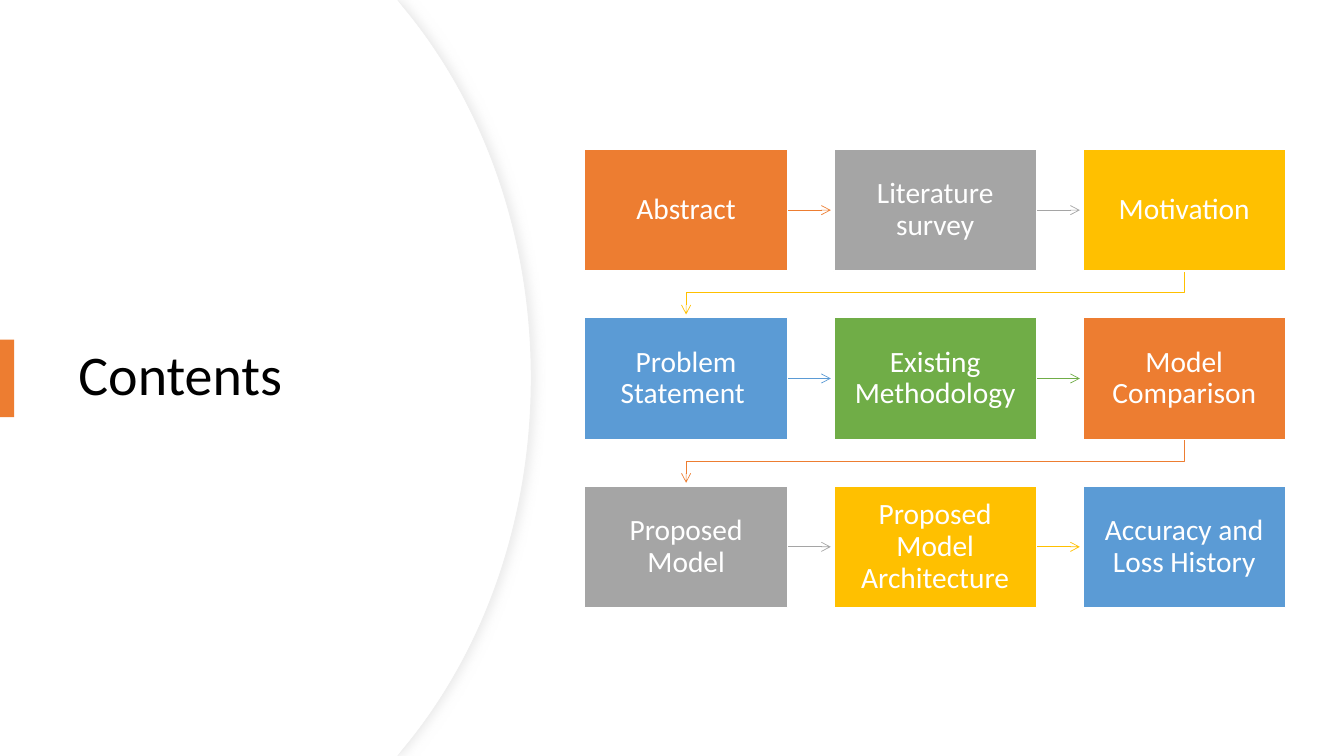
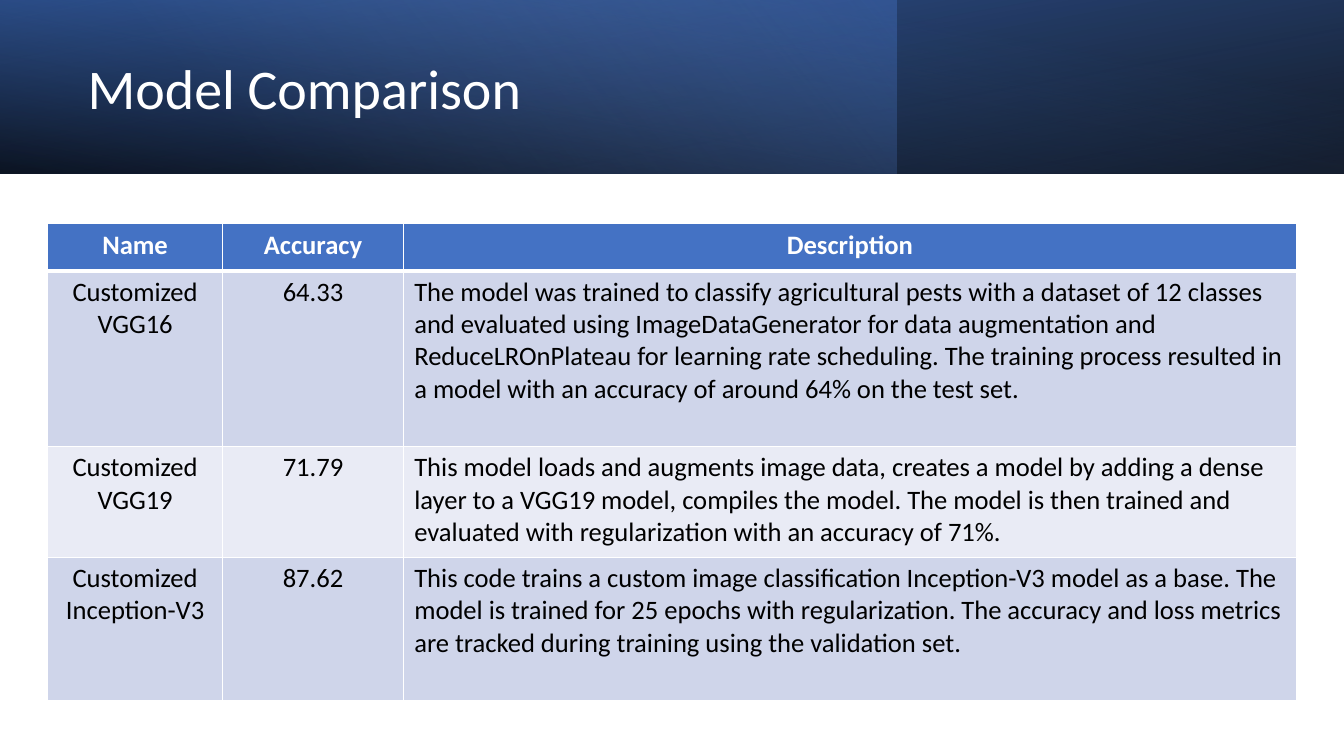
"""Build a contents flow slide and a model comparison table slide."""
from dataclasses import dataclass

from lxml import etree
from pptx import Presentation
from pptx import util as u
from pptx.dml.color import RGBColor
from pptx.enum import shapes, text
from pptx.oxml.ns import qn


@dataclass(frozen=True)
class Theme:
    font: str = "Calibri"
    title_size: float = 40
    box_size: float = 21
    table_size: float = 19
    white: str = "FFFFFF"
    black: str = "000000"
    orange: str = "ED7D31"
    grey: str = "A5A5A5"
    gold: str = "FFC000"
    sky: str = "5B9BD5"
    green: str = "70AD47"
    blue: str = "4472C4"
    pale_blue: str = "8FAADC"
    deep_blue: str = "2F5597"
    row_dark: str = "CFD5EA"
    row_light: str = "E9EBF5"
    outline: str = "EFEFEF"
    shadow: str = "D9D9D9"


THEME = Theme()
CENTER = text.PP_ALIGN.CENTER
LEFT = text.PP_ALIGN.LEFT


def inches(*lengths):
    return [u.Inches(length) for length in lengths]


def rgb(color):
    return RGBColor.from_string(color)


def add_child(parent, tag, **attributes):
    child = etree.SubElement(parent, qn(tag))
    for name, value in attributes.items():
        child.set(name, str(value))
    return child


class Deck:
    def __init__(self, theme):
        self.theme = theme
        self.presentation = Presentation()
        self.presentation.slide_width, self.presentation.slide_height = inches(13.33, 7.5)
        self.slide = None

    def new_slide(self):
        layout = self.presentation.slide_layouts[6]
        self.slide = self.presentation.slides.add_slide(layout)

    def format_text(self, frame, size, color, align=LEFT, bold=False, spacing=1.0):
        for paragraph in frame.paragraphs:
            paragraph.alignment = align
            paragraph.line_spacing = spacing
            for run in paragraph.runs:
                run.font.name = self.theme.font
                run.font.size = u.Pt(size)
                run.font.bold = bold
                run.font.color.rgb = rgb(color)

    def paint(self, shape, fill, line=None, width=1.0):
        shape.shadow.inherit = False
        shape.fill.solid()
        shape.fill.fore_color.rgb = rgb(fill)
        if line:
            shape.line.color.rgb = rgb(line)
            shape.line.width = u.Pt(width)
        else:
            shape.line.fill.background()

    def title(self, words, box, color):
        shape = self.slide.shapes.add_textbox(*inches(*box))
        frame = shape.text_frame
        frame.word_wrap = True
        frame.vertical_anchor = text.MSO_ANCHOR.MIDDLE
        frame.text = words
        self.format_text(frame, self.theme.title_size, color, spacing=0.9)

    def rectangle(self, box, fill, line=None):
        shape = self.slide.shapes.add_shape(shapes.MSO_SHAPE.RECTANGLE, *inches(*box))
        self.paint(shape, fill, line)
        return shape

    def step(self, words, box, fill):
        shape = self.rectangle(box, fill, self.theme.white)
        frame = shape.text_frame
        frame.word_wrap = True
        frame.vertical_anchor = text.MSO_ANCHOR.MIDDLE
        frame.margin_left = frame.margin_right = u.Inches(0.1)
        frame.margin_top = frame.margin_bottom = u.Inches(0.1)
        frame.text = words
        self.format_text(frame, self.theme.box_size, self.theme.white, CENTER, spacing=0.9)

    def arrow(self, kind, start, end, color, rotation=0):
        connector = self.slide.shapes.add_connector(kind, *inches(*start, *end))
        connector.line.color.rgb = rgb(color)
        connector.line.width = u.Pt(0.5)
        properties = connector._element.spPr
        properties.xfrm.rot = rotation
        add_child(properties.find(qn("a:ln")), "a:tailEnd", type="arrow")
        add_child(properties, "a:effectLst")

    def straight_arrow(self, start, end, color):
        self.arrow(shapes.MSO_CONNECTOR.STRAIGHT, start, end, color)

    def return_arrow(self, start, end, color):
        middle_x, middle_y = (start[0] + end[0]) / 2, (start[1] + end[1]) / 2
        half_run, half_drop = (start[0] - end[0]) / 2, (end[1] - start[1]) / 2
        self.arrow(
            shapes.MSO_CONNECTOR.ELBOW,
            (middle_x - half_drop, middle_y - half_run),
            (middle_x + half_drop, middle_y + half_run),
            color,
            rotation=90,
        )

    def curved_panel(self, edge, line=None, shadow=None):
        shoulder = edge - 1.26
        corners = ((3.94, 0), (shoulder, 0.08), (edge, 3.75), (shoulder, 7.42), (3.94, 7.5), (0, 7.5))
        bends = {
            2: ((edge - 0.48, 1.02), (edge, 2.32)),
            3: ((edge, 5.18), (edge - 0.48, 6.48)),
        }
        builder = self.slide.shapes.build_freeform(0, 0)
        builder.add_line_segments([inches(*corner) for corner in corners], close=True)
        shape = builder.convert_to_shape()
        segments = list(shape._element.spPr.iter(qn("a:lnTo")))
        for index, handles in bends.items():
            segment = segments[index]
            curve = etree.Element(qn("a:cubicBezTo"))
            for x, y in handles:
                add_child(curve, "a:pt", x=u.Inches(x), y=u.Inches(y))
            curve.append(segment[0])
            segment.getparent().replace(segment, curve)
        self.paint(shape, self.theme.white, line, 0.75)
        if shadow:
            effects = shape._element.spPr.find(qn("a:effectLst"))
            outer = add_child(effects, "a:outerShdw", blurRad=u.Pt(7), dist=u.Pt(3), dir=0)
            color = add_child(outer, "a:srgbClr", val=shadow)
            add_child(color, "a:alpha", val=50000)

    def gradient_band(self, width, angle, stops, rotation=0, flip=False):
        shape = self.rectangle((0, 0, width, 1.72), self.theme.blue)
        shape.rotation = rotation
        properties = shape._element.spPr
        if flip:
            properties.xfrm.flipH = True
        shape.fill.gradient()
        shape.fill.gradient_angle = 360 - angle
        for stop, (position, color, _) in zip(shape.fill.gradient_stops, stops):
            stop.position = position / 100
            stop.color.rgb = rgb(color)
        colors = properties.find(qn("a:gradFill")).iter(qn("a:srgbClr"))
        for color, (_, _, opacity) in zip(colors, stops):
            add_child(color, "a:alpha", val=opacity * 1000)

    def cell(self, cell, words, fill, color, align, bold, borders):
        cell.margin_left = cell.margin_right = u.Inches(0.11)
        cell.margin_top = cell.margin_bottom = u.Inches(0.05)
        cell.text_frame.text = words
        self.format_text(cell.text_frame, self.theme.table_size, color, align, bold)
        properties = cell._tc.get_or_add_tcPr()
        for side, width in borders.items():
            line = add_child(properties, f"a:ln{side}", w=u.Pt(width))
            add_child(add_child(line, "a:solidFill"), "a:srgbClr", val=self.theme.white)
        cell.fill.solid()
        cell.fill.fore_color.rgb = rgb(fill)

    def table(self, rows, position, widths, heights):
        size = (sum(widths), sum(heights))
        frame = self.slide.shapes.add_table(len(rows), len(widths), *inches(*position, *size))
        table = frame.table
        for column, width in zip(table.columns, widths):
            column.width = u.Inches(width)
        for row, height in zip(table.rows, heights):
            row.height = u.Inches(height)
        for row_index, row in enumerate(rows):
            header = row_index == 0
            band = self.theme.row_dark if row_index % 2 else self.theme.row_light
            fill = self.theme.blue if header else band
            color = self.theme.white if header else self.theme.black
            borders = {"L": 1, "R": 1, "T": 3 if row_index == 1 else 1, "B": 3 if header else 1}
            for column_index, words in enumerate(row):
                align = CENTER if header or column_index < 2 else LEFT
                cell = table.cell(row_index, column_index)
                self.cell(cell, words, fill, color, align, header, borders)


def contents_slide(deck):
    theme = deck.theme
    deck.new_slide()
    deck.curved_panel(5.27, line=theme.outline, shadow=theme.shadow)
    deck.curved_panel(5.26)
    deck.title("Contents", (0.68, 1.27, 3.94, 4.95), theme.black)
    deck.rectangle((0, 3.37, 0.14, 0.77), theme.orange)

    topics = (
        "Abstract", "Literature survey", "Motivation",
        "Problem Statement ", "Existing Methodology", "Model Comparison",
        "Proposed Model", "Proposed Model Architecture", "Accuracy and Loss History",
    )
    palette = (theme.orange, theme.grey, theme.gold, theme.sky, theme.green)
    columns, left, top, width, height = 3, 5.8, 1.48, 2.01, 1.21
    pitch_x, pitch_y = 2.47, 1.67
    for index, topic in enumerate(topics):
        row, column = divmod(index, columns)
        x, y = left + column * pitch_x, top + row * pitch_y
        color = palette[index % len(palette)]
        if column < columns - 1:
            middle = y + height / 2
            deck.straight_arrow((x + width, middle), (x + pitch_x - 0.03, middle), color)
        elif index < len(topics) - 1:
            start = (x + width / 2, y + height)
            end = (left + width / 2, y + pitch_y - 0.03)
            deck.return_arrow(start, end, color)
        deck.step(topic, (x, y, width, height), color)


def comparison_slide(deck):
    theme = deck.theme
    deck.new_slide()
    deck.gradient_band(
        13.33, 100, ((0, theme.black, 96), (100, theme.deep_blue, 100)), rotation=180, flip=True
    )
    deck.gradient_band(8.89, 140, ((0, theme.blue, 41), (74, theme.pale_blue, 0)))
    deck.gradient_band(13.33, 260, ((0, theme.black, 63), (78, theme.blue, 15)), flip=True)
    deck.title("Model Comparison", (0.77, 0.27, 7.72, 1.27), theme.white)
    rows = (
        ("Name", "Accuracy", "Description"),
        (
            "Customized VGG16",
            "64.33",
            "The model was trained to classify agricultural pests with a dataset of 12 classes "
            "and evaluated using ImageDataGenerator for data augmentation and "
            "ReduceLROnPlateau for learning rate scheduling. The training process resulted in "
            "a model with an accuracy of around 64% on the test set.",
        ),
        (
            "Customized\nVGG19",
            "71.79",
            "This model loads and augments image data, creates a model by adding a dense "
            "layer to a VGG19 model, compiles the model. The model is then trained and "
            "evaluated with regularization with an accuracy of 71%.",
        ),
        (
            "Customized\nInception-V3",
            "87.62",
            "This code trains a custom image classification Inception-V3 model as a base. The "
            "model is trained for 25 epochs with regularization. The accuracy and loss metrics "
            "are tracked during training using the validation set.",
        ),
    )
    deck.table(rows, (0.47, 2.22), (1.74, 1.79, 8.86), (0.47, 1.74, 1.1, 1.42))


def main():
    deck = Deck(THEME)
    contents_slide(deck)
    comparison_slide(deck)
    deck.presentation.save("out.pptx")


if __name__ == "__main__":
    main()
